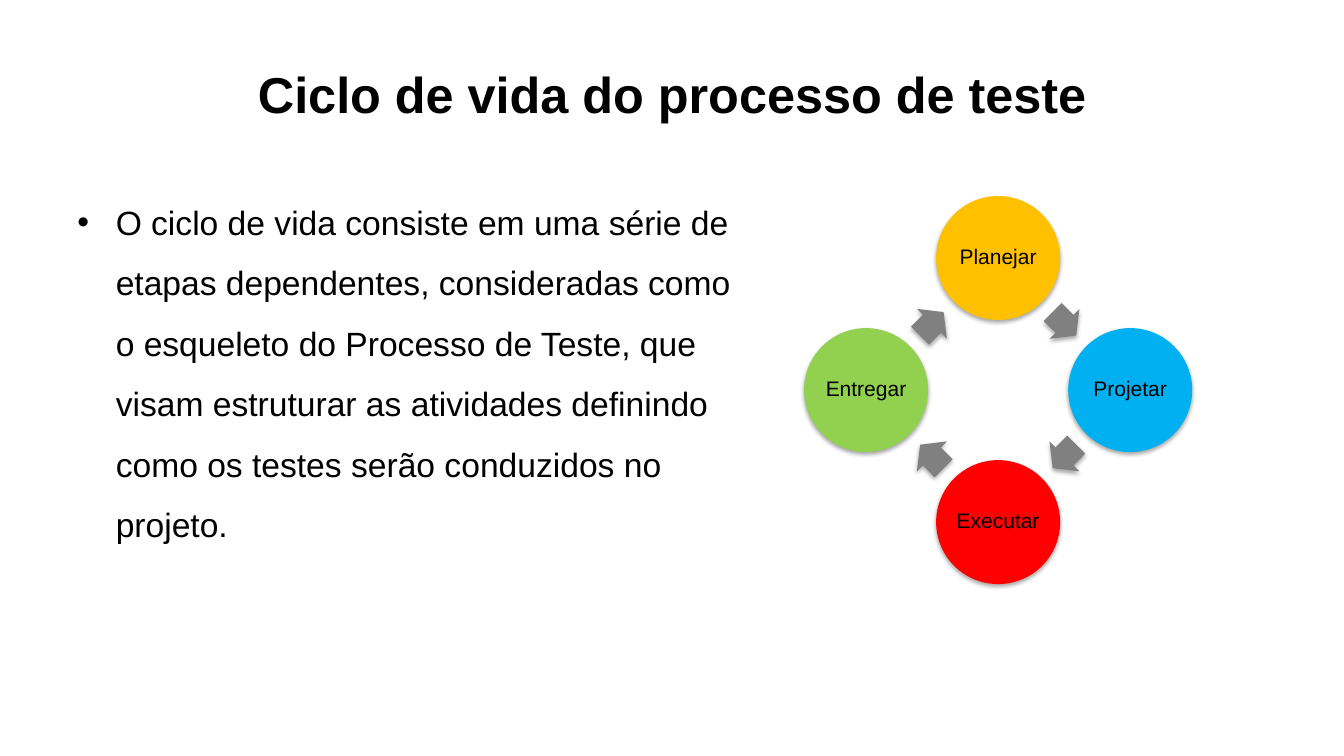
import math
from dataclasses import dataclass

import pptx
import pptx.dml.color
import pptx.enum.shapes
import pptx.enum.text
import pptx.oxml
import pptx.oxml.ns
import pptx.util

Inches = pptx.util.Inches
Pt = pptx.util.Pt
ShapeKind = pptx.enum.shapes.MSO_SHAPE
Align = pptx.enum.text.PP_ALIGN
Anchor = pptx.enum.text.MSO_ANCHOR

COLORS = {
    "text": "000000",
    "shadow": "000000",
    "arrow": "808080",
    "plan": "FFC000",
    "design": "00B0F0",
    "run": "FF0000",
    "deliver": "92D050",
}
FONT = "Arial"
CENTER_X, CENTER_Y = 9.9, 3.87
RING_RADIUS = 1.31
ARROW_RADIUS = 0.93
CIRCLE_SIZE = 1.23
ARROW_WIDTH, ARROW_HEIGHT = 0.33, 0.42


@dataclass
class Stage:
    label: str
    color: str


@dataclass
class TextBlock:
    text: str
    box: tuple[float, float, float, float]
    size: float
    bold: bool
    frame_format: dict
    paragraph_format: dict
    bulleted: bool = False


STAGES = [
    Stage("Planejar", "plan"),
    Stage("Projetar", "design"),
    Stage("Executar", "run"),
    Stage("Entregar", "deliver"),
]
TEXT_BLOCKS = [
    TextBlock(
        "Ciclo de vida do processo de teste",
        (0.67, 0.3, 12, 1.25), 36, True,
        {"vertical_anchor": Anchor.MIDDLE},
        {"alignment": Align.CENTER},
    ),
    TextBlock(
        "O ciclo de vida consiste em uma série de etapas dependentes, "
        "consideradas como o esqueleto do Processo de Teste, que visam "
        "estruturar as atividades definindo como os testes serão "
        "conduzidos no projeto.",
        (0.67, 1.75, 6.94, 4.95), 24, False,
        {"vertical_anchor": Anchor.TOP},
        {"alignment": Align.LEFT, "line_spacing": 1.5, "space_before": Pt(4.8)},
        bulleted=True,
    ),
]


def rgb(name: str) -> pptx.dml.color.RGBColor:
    return pptx.dml.color.RGBColor.from_string(COLORS[name])


def apply_format(target, values: dict) -> None:
    for name, value in values.items():
        setattr(target, name, value)


def write_text(shape, text: str, size: float, bold: bool,
               frame_format: dict, paragraph_format: dict):
    frame = shape.text_frame
    apply_format(frame, {"word_wrap": True, **frame_format})
    paragraph = frame.paragraphs[0]
    apply_format(paragraph, paragraph_format)
    run = paragraph.add_run()
    run.text = text
    apply_format(run.font, {"name": FONT, "size": Pt(size), "bold": bold})
    run.font.color.rgb = rgb("text")
    return paragraph


def add_bullet(paragraph) -> None:
    properties = paragraph._p.get_or_add_pPr()
    properties.set("marL", str(Inches(0.38)))
    properties.set("indent", str(Inches(-0.38)))
    namespace = pptx.oxml.ns.nsdecls("a")
    for xml in (f'<a:buFont {namespace} typeface="{FONT}"/>',
                f'<a:buChar {namespace} char="•"/>'):
        properties.append(pptx.oxml.parse_xml(xml))


def add_text_block(slide, block: TextBlock) -> None:
    shape = slide.shapes.add_textbox(*map(Inches, block.box))
    paragraph = write_text(shape, block.text, block.size, block.bold,
                           block.frame_format, block.paragraph_format)
    if block.bulleted:
        add_bullet(paragraph)


def add_ring_shape(slide, kind, angle: float, radius: float,
                   width: float, height: float, color: str):
    """Place a shape on the ring; the angle runs clockwise from the top."""
    x = CENTER_X + radius * math.sin(math.radians(angle))
    y = CENTER_Y - radius * math.cos(math.radians(angle))
    shape = slide.shapes.add_shape(
        kind, Inches(x - width / 2), Inches(y - height / 2),
        Inches(width), Inches(height))
    shape.fill.solid()
    shape.fill.fore_color.rgb = rgb(color)
    shape.line.fill.background()
    # Soft shadow straight below
    shape.shadow.inherit = False
    effects = shape._element.spPr.find(pptx.oxml.ns.qn("a:effectLst"))
    effects.append(pptx.oxml.parse_xml(
        f'<a:outerShdw {pptx.oxml.ns.nsdecls("a")} blurRad="{Pt(3.1)}" '
        f'dist="{Pt(1.8)}" dir="5400000" rotWithShape="0">'
        f'<a:srgbClr val="{COLORS["shadow"]}"><a:alpha val="35000"/>'
        '</a:srgbClr></a:outerShdw>'))
    return shape


def add_cycle(slide, stages: list[Stage]) -> None:
    step = 360 / len(stages)
    inset = Inches(0.02)
    frame_format = {f"margin_{side}": inset
                    for side in ("left", "top", "right", "bottom")}
    frame_format["vertical_anchor"] = Anchor.MIDDLE
    for index, stage in enumerate(stages):
        # Stage circle
        circle = add_ring_shape(slide, ShapeKind.OVAL, index * step, RING_RADIUS,
                                CIRCLE_SIZE, CIRCLE_SIZE, stage.color)
        write_text(circle, stage.label, 15, False, frame_format,
                   {"alignment": Align.CENTER, "line_spacing": 0.9})
        # Arrow to the next stage
        angle = (index + 0.5) * step
        arrow = add_ring_shape(slide, ShapeKind.RIGHT_ARROW, angle, ARROW_RADIUS,
                               ARROW_WIDTH, ARROW_HEIGHT, "arrow")
        arrow.adjustments[0] = 0.6
        arrow.adjustments[1] = 0.5
        arrow.rotation = angle


def main() -> None:
    presentation = pptx.Presentation()
    presentation.slide_width = Inches(13.33)
    presentation.slide_height = Inches(7.5)
    slide = presentation.slides.add_slide(presentation.slide_layouts[6])
    for block in TEXT_BLOCKS:
        add_text_block(slide, block)
    add_cycle(slide, STAGES)
    presentation.save("out.pptx")


if __name__ == "__main__":
    main()
